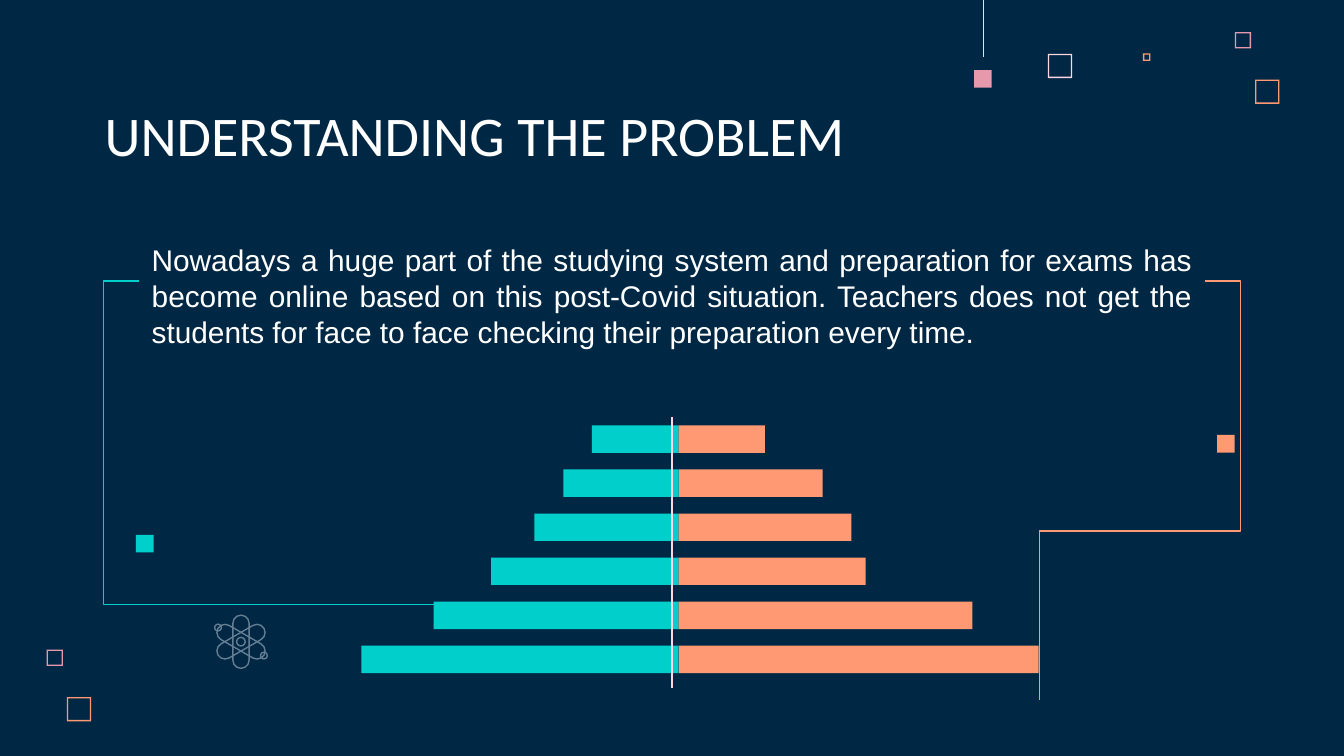
from dataclasses import dataclass

from lxml.etree import SubElement
from pptx import Presentation
from pptx.dml.color import RGBColor
from pptx.enum.shapes import MSO_CONNECTOR as Link, MSO_SHAPE as Preset
from pptx.enum.text import MSO_ANCHOR as Anchor, PP_ALIGN as Align
from pptx.oxml.ns import qn
from pptx.util import Pt


@dataclass(frozen=True)
class Theme:
    navy: str = "002845"
    white: str = "FFFFFF"
    blush: str = "FFD6E1"
    pink: str = "E898AC"
    orange: str = "FF9973"
    teal: str = "00CFCC"
    slate: str = "657E93"
    title_font: str = "Calibri"
    body_font: str = "Arial"
    title_size: float = 30
    body_size: float = 16
    hairline: float = 0.75


@dataclass(frozen=True)
class Square:
    left: float
    top: float
    side: float
    color: str


@dataclass(frozen=True)
class Tier:
    left_value: float
    right_value: float


@dataclass(frozen=True)
class Bracket:
    start: tuple[float, float]
    end: tuple[float, float]
    color: str
    preset: str
    bends: tuple[int, ...]


THEME = Theme()

FRAMES = [
    Square(561.4, 28.8, 13, THEME.blush),
    Square(661.5, 17.2, 8.7, THEME.pink),
    Square(612.3, 28.6, 4, THEME.orange),
    Square(672.4, 42.6, 13, THEME.orange),
    Square(25, 348, 8.7, THEME.pink),
    Square(35.8, 373.4, 13, THEME.orange),
]
DOTS = [
    Square(521.8, 37.5, 9.5, THEME.pink),
    Square(72.8, 286.5, 9.5, THEME.teal),
    Square(652, 233, 9.5, THEME.orange),
]
PYRAMID = [Tier(6, 6), Tier(8, 10), Tier(10, 12), Tier(13, 13), Tier(17, 20.4), Tier(22, 25)]
BRACKETS = [
    Bracket((74.2, 150.6), (274.3, 324), THEME.teal, "bentConnector3", (-9400,)),
    Bracket((645.8, 150.6), (556.8, 375), THEME.orange, "bentConnector4", (-21100, 59700)),
]


def add_solid(slide, preset, left: float, top: float, width: float, height: float, color: str):
    shape = slide.shapes.add_shape(preset, Pt(left), Pt(top), Pt(width), Pt(height))
    shape.shadow.inherit = False
    shape.fill.solid()
    shape.fill.fore_color.rgb = RGBColor.from_string(color)
    shape.line.fill.background()
    return shape


def add_outline(slide, preset, center: tuple[float, float], width: float, height: float,
                rotation: float = 0):
    x, y = center
    shape = add_solid(slide, preset, x - width / 2, y - height / 2, width, height, THEME.slate)
    shape.fill.background()
    shape.line.color.rgb = RGBColor.from_string(THEME.slate)
    shape.line.width = Pt(THEME.hairline)
    shape.rotation = rotation
    return shape


def add_frame(slide, square: Square) -> None:
    frame = add_solid(slide, Preset.FRAME, square.left, square.top, square.side, square.side,
                      square.color)
    frame.adjustments[0] = 0.7 / square.side


def add_link(slide, kind, start: tuple[float, float], end: tuple[float, float], color: str,
             width: float = THEME.hairline):
    link = slide.shapes.add_connector(kind, *map(Pt, start + end))
    link.line.color.rgb = RGBColor.from_string(color)
    link.line.width = Pt(width)
    SubElement(link._element.spPr, qn("a:effectLst"))
    return link


def add_bracket(slide, bracket: Bracket) -> None:
    link = add_link(slide, Link.ELBOW, bracket.start, bracket.end, bracket.color)
    geometry = link._element.spPr.find(qn("a:prstGeom"))
    geometry.set("prst", bracket.preset)
    guides = geometry.find(qn("a:avLst"))
    for number, bend in enumerate(bracket.bends, 1):
        SubElement(guides, qn("a:gd"), name=f"adj{number}", fmla=f"val {bend}")


def add_text(slide, text: str, *, left: float, top: float, width: float, height: float,
             font: str, size: float, align=Align.LEFT) -> None:
    frame = slide.shapes.add_textbox(Pt(left), Pt(top), Pt(width), Pt(height)).text_frame
    frame.word_wrap = True
    frame.vertical_anchor = Anchor.BOTTOM
    frame.margin_left = frame.margin_right = frame.margin_top = frame.margin_bottom = Pt(7.2)
    paragraph = frame.paragraphs[0]
    paragraph.alignment = align
    run = paragraph.add_run()
    run.text = text
    run.font.name = font
    run.font.size = Pt(size)
    run.font.color.rgb = RGBColor.from_string(THEME.white)


def add_pyramid(slide, tiers: list[Tier]) -> None:
    middle, top, pitch, thickness, unit = 363.5, 227.9, 23.6, 14.7, 7.72
    for row, tier in enumerate(tiers):
        y = top + row * pitch
        left, right = tier.left_value * unit, tier.right_value * unit
        add_solid(slide, Preset.RECTANGLE, middle, y, right, thickness, THEME.orange)
        add_solid(slide, Preset.RECTANGLE, middle - left, y, left, thickness, THEME.teal)
    add_link(slide, Link.STRAIGHT, (360, 223.4), (360, 368.5), THEME.blush)


def add_atom(slide) -> None:
    center = (129.1, 343.8)
    for angle in (0, 60, 120):
        orbit = add_outline(slide, Preset.ROUNDED_RECTANGLE, center, 8.7, 28.5, angle)
        orbit.adjustments[0] = 0.5
    nucleus = add_outline(slide, Preset.ARC, center, 4.6, 4.6)
    nucleus.adjustments[0], nucleus.adjustments[1] = 0, -45
    for electron in ((116.8, 336.2), (141.4, 351.2)):
        add_outline(slide, Preset.OVAL, electron, 3.6, 3.6)


def main() -> None:
    deck = Presentation()
    deck.slide_width, deck.slide_height = Pt(720), Pt(405)
    slide = deck.slides.add_slide(deck.slide_layouts[6])
    slide.background.fill.solid()
    slide.background.fill.fore_color.rgb = RGBColor.from_string(THEME.navy)

    # Corner decoration
    for square in FRAMES:
        add_frame(slide, square)
    add_link(slide, Link.STRAIGHT, (527, 0), (527, 30.6), THEME.blush, 0.4)

    # Title and statement
    add_text(slide, "UNDERSTANDING THE PROBLEM", left=49, top=51.8, width=484.6, height=45.4,
             font=THEME.title_font, size=THEME.title_size)
    add_text(slide, "Nowadays a huge part of the studying system and preparation for exams has "
             "become online based on this post-Covid situation. Teachers does not get the "
             "students for face to face checking their preparation every time.",
             left=74.2, top=107.3, width=571.7, height=87.1,
             font=THEME.body_font, size=THEME.body_size, align=Align.JUSTIFY)

    # Population pyramid and the brackets around it
    add_pyramid(slide, PYRAMID)
    for bracket in BRACKETS:
        add_bracket(slide, bracket)
    for dot in DOTS:
        add_solid(slide, Preset.RECTANGLE, dot.left, dot.top, dot.side, dot.side, dot.color)

    # Atom icon
    add_atom(slide)
    deck.save("out.pptx")


if __name__ == "__main__":
    main()
